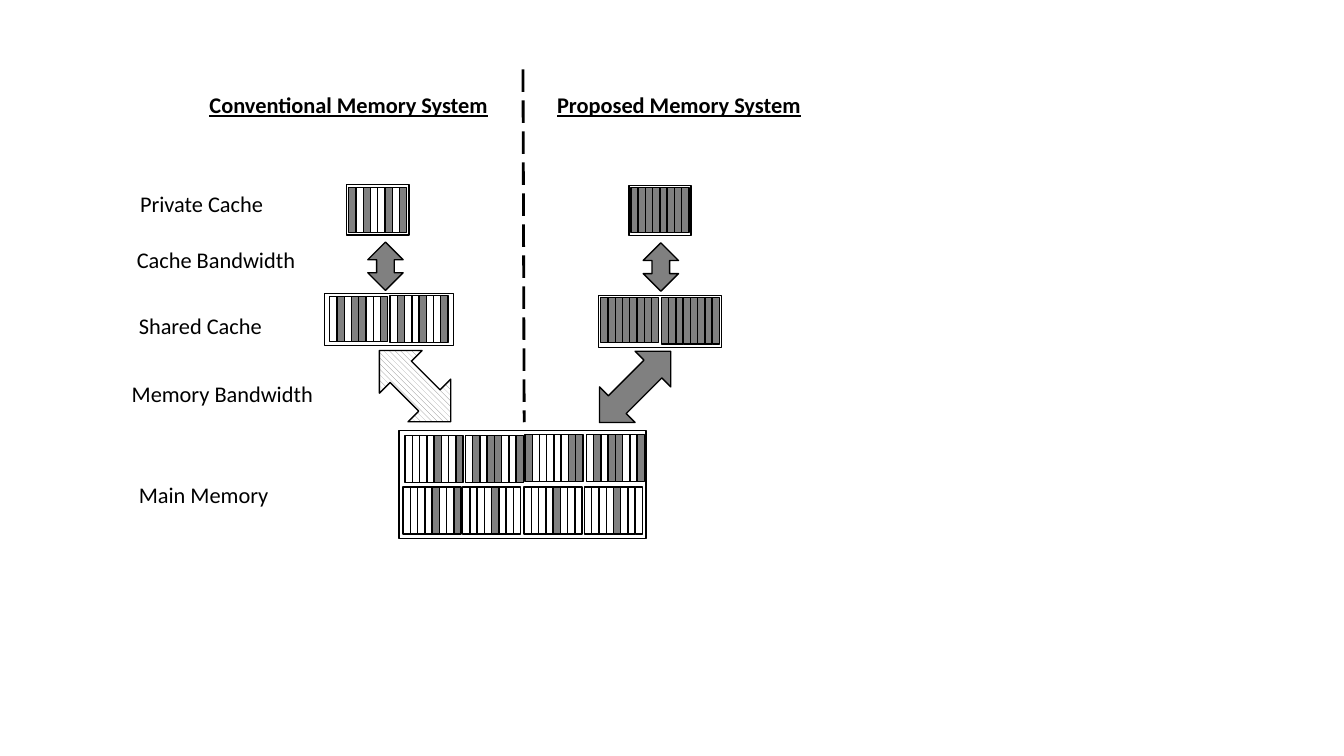
from pptx import Presentation
from pptx.dml.color import RGBColor
from pptx.enum.dml import MSO_LINE, MSO_PATTERN as PATTERN
from pptx.enum.shapes import MSO_CONNECTOR, MSO_SHAPE as SHAPE
from pptx.enum.text import MSO_AUTO_SIZE
from pptx.oxml.ns import qn
from pptx.util import Cm, Pt
from lxml import etree

THEME = {
    "ink": RGBColor(0, 0, 0),
    "gray": RGBColor(128, 128, 128),
    "white": RGBColor(255, 255, 255),
    "font": "Calibri",
    "text": Pt(16),
    "outline": Pt(1),
    "divider": Pt(2),
}
BANK_WIDTH = 1.46
FULL = "11111111"

deck = Presentation()
deck.slide_width, deck.slide_height = Cm(33.87), Cm(19.05)
page = deck.slides.add_slide(deck.slide_layouts[6])


def add_block(shapes, kind, bounds, fill=None):
    block = shapes.add_shape(kind, *map(Cm, bounds))
    block.shadow.inherit = False
    block.line.color.rgb = THEME["ink"]
    block.line.width = THEME["outline"]
    if fill is None:
        block.fill.background()
    elif fill == "solid":
        block.fill.solid()
        block.fill.fore_color.rgb = THEME["gray"]
    else:
        block.fill.patterned()
        block.fill.pattern = fill
        block.fill.fore_color.rgb = THEME["gray"]
        block.fill.back_color.rgb = THEME["white"]
    return block


def add_text(words, left, top, width, formats):
    box = page.shapes.add_textbox(Cm(left), Cm(top), Cm(width), Cm(0.94))
    box.text_frame.word_wrap = True
    box.text_frame.auto_size = MSO_AUTO_SIZE.SHAPE_TO_FIT_TEXT
    span = box.text_frame.paragraphs[0].add_run()
    span.text = words
    span.font.color.rgb = THEME["ink"]
    for name, value in formats.items():
        setattr(span.font, name, value)


memories = [
    ((10.06, 10.85, 6.22, 2.72), [
        (10.21, 10.97, 1.19, "00001001"),
        (11.73, 10.97, 1.19, "01011001"),
        (13.23, 10.95, 1.19, "10000011"),
        (14.78, 10.95, 1.19, "01011001"),
        (10.16, 12.27, 1.19, "00001001"),
        (11.66, 12.27, 1.19, "00001000"),
        (13.21, 12.27, 1.19, "00001000"),
        (14.73, 12.27, 1.19, "00001000"),
    ]),
    ((8.18, 7.39, 3.25, 1.32), [
        (8.31, 7.47, 1.14, "01011001"),
        (9.83, 7.44, 1.19, "01001001"),
    ]),
    ((15.09, 7.44, 3.1, 1.32), [
        (15.14, 7.49, 1.14, FULL),
        (16.67, 7.5, 1.17, FULL),
    ]),
    ((8.74, 4.65, 1.57, 1.27), [(8.79, 4.72, 1.14, "10100101")]),
    ((15.85, 4.67, 1.57, 1.27), [(15.9, 4.72, 1.14, FULL)]),
]
for frame, banks in memories:
    add_block(page.shapes, SHAPE.RECTANGLE, frame)
    for left, top, height, cells in banks:
        bank = page.shapes.add_group_shape()
        pitch = BANK_WIDTH / len(cells)
        for index, cell in enumerate(cells):
            bounds = (left + index * pitch, top, pitch, height)
            add_block(bank.shapes, SHAPE.RECTANGLE, bounds, "solid" if cell == "1" else None)

bandwidth_arrows = [
    ((9.27, 6.1, 0.89, 1.22), 0, PATTERN.DARK_VERTICAL),
    ((16.21, 6.12, 0.89, 1.22), 0, "solid"),
    ((9.7, 8.46, 1.52, 2.54), 135, PATTERN.WIDE_DOWNWARD_DIAGONAL),
    ((15.37, 8.48, 1.27, 2.54), 45, "solid"),
]
for bounds, rotation, fill in bandwidth_arrows:
    add_block(page.shapes, SHAPE.UP_DOWN_ARROW, bounds, fill).rotation = rotation

divider = page.shapes.add_connector(
    MSO_CONNECTOR.STRAIGHT, Cm(13.18), Cm(1.75), Cm(13.21), Cm(10.64))
divider.line.color.rgb = THEME["ink"]
divider.line.width = THEME["divider"]
divider.line.dash_style = MSO_LINE.LONG_DASH
etree.SubElement(divider._element.spPr, qn("a:effectLst"))

label_format = {"name": THEME["font"], "size": THEME["text"]}
heading_format = {**label_format, "bold": True, "underline": True}
labels = [
    ("Private Cache", 3.28, 4.67, 4.32),
    ("Cache Bandwidth", 3.2, 6.07, 4.52),
    ("Shared Cache", 3.25, 7.75, 4.32),
    ("Memory Bandwidth", 3.07, 9.45, 5.23),
    ("Main Memory", 3.25, 11.99, 4.19),
]
headings = [
    ("Conventional Memory System", 5.03, 2.18, 7.65),
    ("Proposed Memory System", 13.79, 2.18, 6.78),
]
for entries, formats in ((labels, label_format), (headings, heading_format)):
    for entry in entries:
        add_text(*entry, formats)

deck.save("out.pptx")
